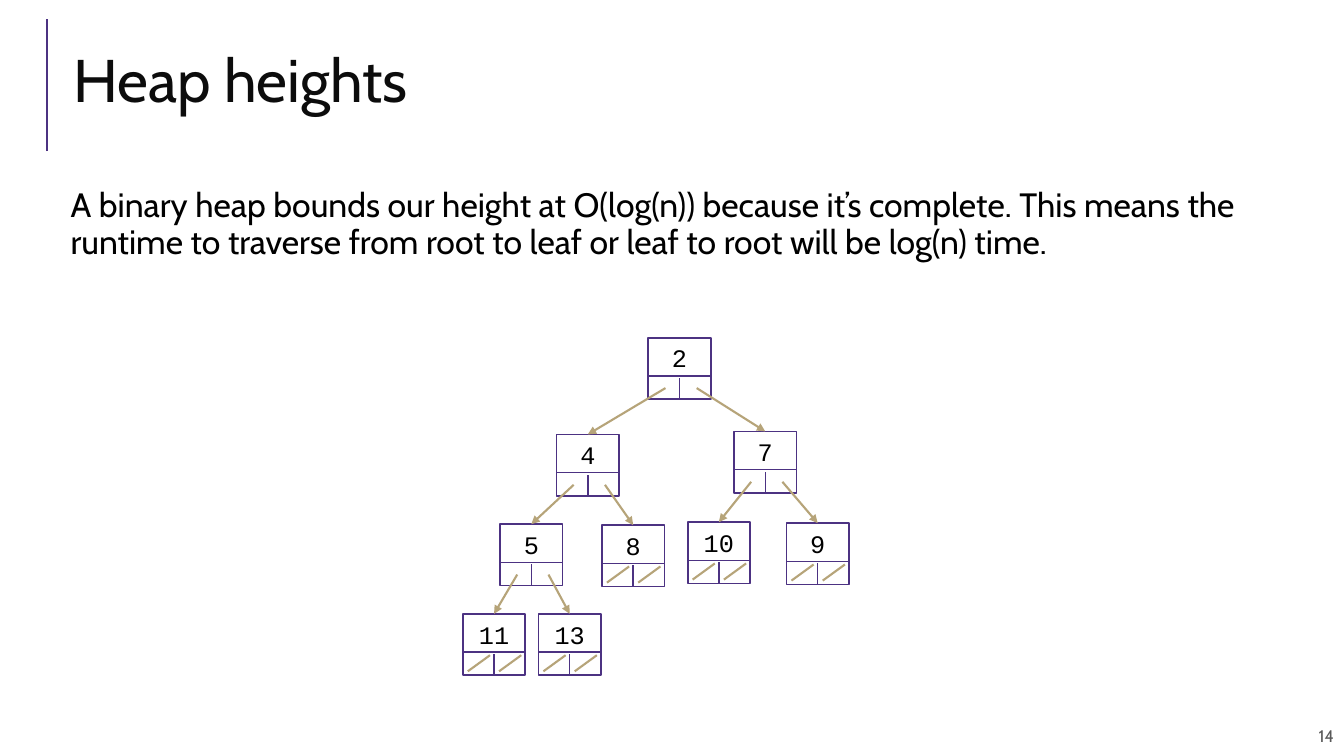
from dataclasses import dataclass

from lxml.etree import SubElement
from pptx import Presentation
from pptx.dml.color import RGBColor
from pptx.enum.shapes import MSO_CONNECTOR, MSO_SHAPE
from pptx.enum.text import MSO_ANCHOR, MSO_AUTO_SIZE, PP_ALIGN
from pptx.oxml.ns import qn
from pptx.shapes.autoshape import Shape
from pptx.shapes.connector import Connector
from pptx.slide import Slide
from pptx.util import Inches, Pt

COLORS = {
    "purple": "4C3282",
    "gold": "B6A479",
    "title": "0C0C0C",
    "text": "000000",
    "number": "595959",
}
NODE_WIDTH, NODE_HEIGHT = 0.62, 0.61
POINTER_TOP = 0.38
POINTER_STARTS = (0.17, 0.48)
POINTER_START_TOP = 0.5
NULL_STARTS = (0.27, 0.58)


@dataclass
class Node:
    value: int
    left: float
    top: float


# Level order: the children of node i are nodes 2i + 1 and 2i + 2.
HEAP = [
    Node(2, 6.43, 3.35),
    Node(4, 5.52, 4.31),
    Node(7, 7.28, 4.28),
    Node(5, 4.96, 5.2),
    Node(8, 5.97, 5.21),
    Node(10, 6.82, 5.18),
    Node(9, 7.8, 5.19),
    Node(11, 4.59, 6.09),
    Node(13, 5.34, 6.09),
]


def place(shape: Shape, left: float, top: float, width: float, height: float) -> None:
    shape.left, shape.top = Inches(left), Inches(top)
    shape.width, shape.height = Inches(width), Inches(height)


def write_text(shape: Shape, text: str, size: float, color: str, font: str = "Cabin",
               align: PP_ALIGN = PP_ALIGN.LEFT, anchor: MSO_ANCHOR = MSO_ANCHOR.TOP,
               spacing: float = 1.0, inset_x: float = 0.1, inset_y: float = 0.05) -> None:
    frame = shape.text_frame
    frame.text = text
    frame.word_wrap = True
    frame.auto_size = MSO_AUTO_SIZE.NONE
    frame.vertical_anchor = anchor
    frame.margin_left = frame.margin_right = Inches(inset_x)
    frame.margin_top = frame.margin_bottom = Inches(inset_y)
    paragraph = frame.paragraphs[0]
    paragraph.alignment = align
    paragraph.line_spacing = spacing
    paragraph.space_before = Pt(0)
    run_font = paragraph.runs[0].font
    run_font.name, run_font.size = font, Pt(size)
    run_font.color.rgb = RGBColor.from_string(COLORS[color])


def remove_bullet(shape: Shape) -> None:
    properties = shape.text_frame.paragraphs[0]._p.get_or_add_pPr()
    properties.set("marL", "0")
    properties.set("indent", "0")
    SubElement(properties, qn("a:buNone"))


def draw_line(slide: Slide, start: tuple[float, float], end: tuple[float, float],
              color: str, width: float) -> Connector:
    line = slide.shapes.add_connector(
        MSO_CONNECTOR.STRAIGHT, *(Inches(value) for value in start + end))
    line.line.color.rgb = RGBColor.from_string(COLORS[color])
    line.line.width = Pt(width)
    SubElement(line._element.spPr, qn("a:effectLst"))
    return line


def draw_node(slide: Slide, node: Node) -> Shape:
    box = slide.shapes.add_shape(MSO_SHAPE.RECTANGLE, Inches(node.left), Inches(node.top),
                                 Inches(NODE_WIDTH), Inches(NODE_HEIGHT))
    box.shadow.inherit = False
    box.fill.background()
    box.line.color.rgb = RGBColor.from_string(COLORS["purple"])
    box.line.width = Pt(1.25)

    label_width = 0.35 if node.value < 10 else 0.5
    middle = node.left + NODE_WIDTH / 2
    label = slide.shapes.add_textbox(Inches(middle - label_width / 2), Inches(node.top),
                                     Inches(label_width), Inches(0.4))
    write_text(label, str(node.value), 18, "text", "Courier New", PP_ALIGN.CENTER)
    label.text_frame.word_wrap = False

    divider = node.top + POINTER_TOP
    draw_line(slide, (node.left, divider), (node.left + NODE_WIDTH, divider), "purple", 1)
    draw_line(slide, (middle, node.top + NODE_HEIGHT), (middle, divider + 0.02), "purple", 1)
    return box


def draw_pointers(slide: Slide, index: int, boxes: list[Shape]) -> None:
    """Link a node to its children, or slash the cells that have none."""
    node = HEAP[index]
    for side in range(2):
        child = 2 * index + 1 + side
        if child < len(HEAP):
            start = (node.left + POINTER_STARTS[side], node.top + POINTER_START_TOP)
            target = HEAP[child]
            arrow = draw_line(slide, start, (target.left + NODE_WIDTH / 2, target.top),
                              "gold", 1.5)
            arrow.end_connect(boxes[child], 0)
            SubElement(arrow.line._get_or_add_ln(), qn("a:tailEnd"), type="triangle")
        else:
            right = node.left + NULL_STARTS[side]
            draw_line(slide, (right, node.top + 0.41), (right - 0.22, node.top + 0.57),
                      "gold", 1.5)


def main() -> None:
    presentation = Presentation()
    presentation.slide_width, presentation.slide_height = Inches(13.33), Inches(7.5)
    slide = presentation.slides.add_slide(presentation.slide_layouts[1])

    draw_line(slide, (0.47, 1.5), (0.47, 0.19), "purple", 1.5)

    title = slide.shapes.title
    place(title, 0.63, 0.29, 12.23, 1.11)
    write_text(title, "Heap heights", 43, "title", anchor=MSO_ANCHOR.MIDDLE, spacing=0.8)

    body = slide.placeholders[1]
    place(body, 0.65, 1.82, 11.88, 1.11)
    write_text(body, "A binary heap bounds our height at O(log(n)) because it’s complete. "
               "This means the runtime to traverse from root to leaf or leaf to root "
               "will be log(n) time.", 24.1, "text", spacing=0.9, inset_x=0.05)
    remove_bullet(body)

    number = slide.shapes.add_textbox(Inches(8.65), Inches(7.1), Inches(4.68), Inches(0.4))
    write_text(number, "14", 12, "number", align=PP_ALIGN.RIGHT,
               anchor=MSO_ANCHOR.MIDDLE, inset_y=0.1)

    boxes = [draw_node(slide, node) for node in HEAP]
    for index in range(len(HEAP)):
        draw_pointers(slide, index, boxes)

    presentation.save("out.pptx")


if __name__ == "__main__":
    main()
